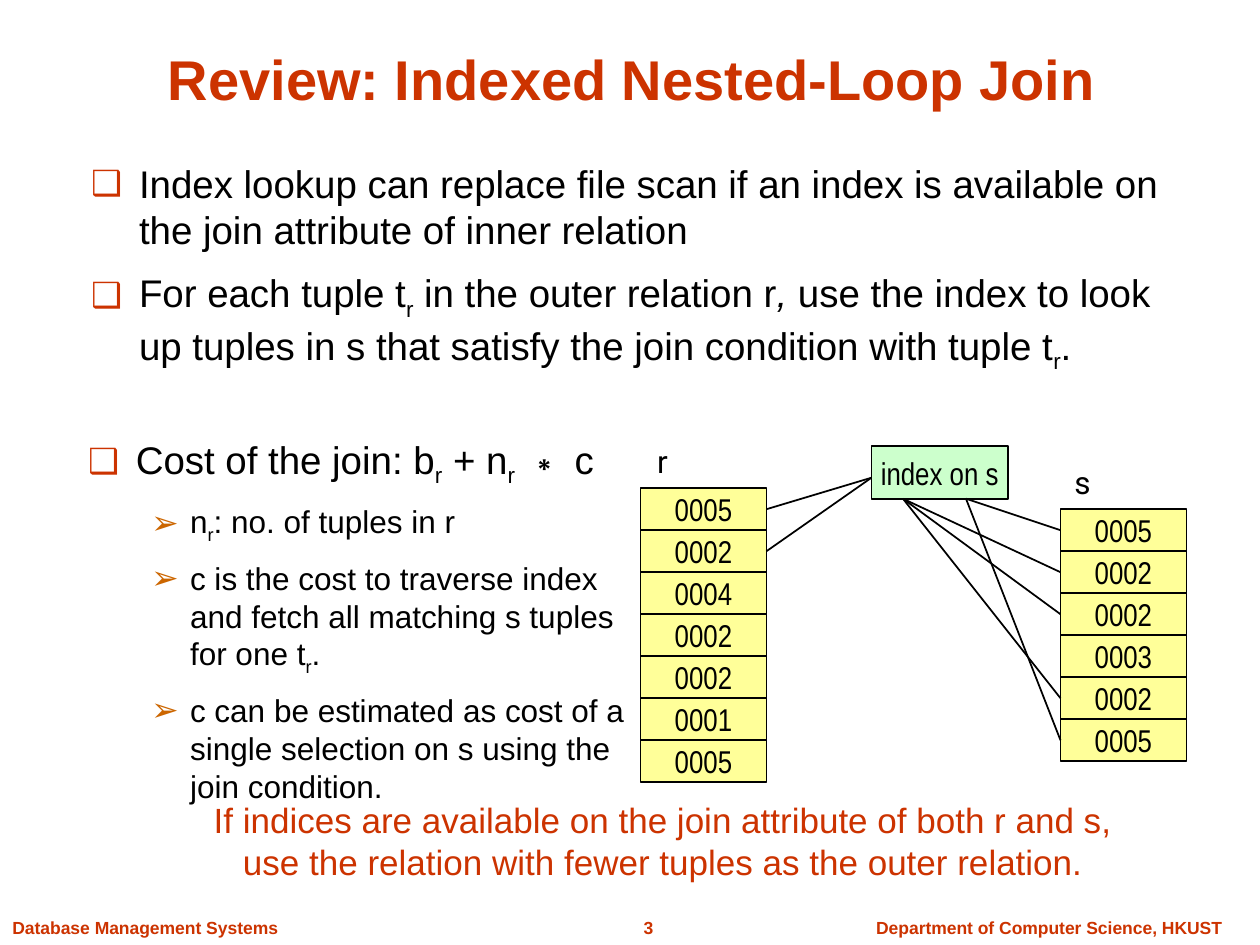
import lxml.etree
import pptx
import pptx.dml.color
import pptx.enum.shapes
import pptx.enum.text
import pptx.oxml.ns
import pptx.util

COLUMNS, ROWS = 240, 180
ALIGN = pptx.enum.text.PP_ALIGN
ANCHOR = pptx.enum.text.MSO_ANCHOR
RED, BLACK = "CC3300", "000000"


def color(value):
    return pptx.dml.color.RGBColor.from_string(value)


def add_element(parent, tag, **attributes):
    return lxml.etree.SubElement(parent, pptx.oxml.ns.qn(tag), attributes)


def set_bullet(para, char, tint, percent, left, hanging):
    properties = para._p.get_or_add_pPr()
    properties.set("marL", str(pptx.util.Inches(left)))
    properties.set("indent", str(-pptx.util.Inches(hanging)))
    add_element(add_element(properties, "a:buClr"), "a:srgbClr", val=tint)
    add_element(properties, "a:buSzPct", val=str(percent * 1000))
    add_element(properties, "a:buFont", typeface="Arial")
    add_element(properties, "a:buChar", char=char)


def write_text(para, text, size=18, font="Arial", tint=BLACK, bold=False,
               align=ALIGN.LEFT, before=0, bullet=None):
    para.alignment = align
    para.space_before = pptx.util.Pt(before)
    if bullet:
        set_bullet(para, **bullet)
    pieces = [(text, "")] if isinstance(text, str) else text
    for piece, kind in pieces:
        for index, line in enumerate(piece.split("\n")):
            if index:
                para.add_line_break()
            span = para.add_run()
            span.text = line
            span.font.size = pptx.util.Pt(size)
            span.font.name = font
            span.font.bold = bold
            span.font.color.rgb = color(tint)
            if kind == "italic":
                span.font.italic = True
            if kind == "sub":
                span.font._element.set("baseline", "-25000")


class Page:
    topic = dict(size=22, before=9.6,
                 bullet=dict(char="❑", tint=RED, percent=90, left=0.38, hanging=0.38))
    detail = dict(size=18, before=7.9,
                  bullet=dict(char="➢", tint="CC6600", percent=105, left=0.81, hanging=0.31))
    footer = dict(size=10, tint=RED, bold=True)
    cell_columns, cell_rows = 24, 8

    def __init__(self, deck):
        self.deck = deck
        self.slide = deck.slides.add_slide(deck.slide_layouts[5])

    def x(self, columns):
        return round(self.deck.slide_width * columns / COLUMNS)

    def y(self, rows):
        return round(self.deck.slide_height * rows / ROWS)

    def area(self, left, top, width, height):
        return self.x(left), self.y(top), self.x(width), self.y(height)

    def title(self, text, *place):
        box = self.slide.shapes.title
        box.left, box.top, box.width, box.height = self.area(*place)
        box.text_frame.auto_size = pptx.enum.text.MSO_AUTO_SIZE.NONE
        box.text_frame.vertical_anchor = ANCHOR.BOTTOM
        write_text(box.text_frame.paragraphs[0], text, size=32, tint=RED,
                   bold=True, align=ALIGN.CENTER)

    def text(self, text, *place, wrap=True, **style):
        self.paragraphs([(text, style)], *place, wrap=wrap)

    def paragraphs(self, items, *place, wrap=True):
        frame = self.slide.shapes.add_textbox(*self.area(*place)).text_frame
        frame.word_wrap = wrap
        for index, (text, style) in enumerate(items):
            para = frame.add_paragraph() if index else frame.paragraphs[0]
            write_text(para, text, **(style if index else {**style, "before": 0}))

    def box(self, text, fill, *place):
        shape = self.slide.shapes.add_shape(
            pptx.enum.shapes.MSO_SHAPE.RECTANGLE, *self.area(*place))
        shape.shadow.inherit = False
        shape.fill.solid()
        shape.fill.fore_color.rgb = color(fill)
        shape.line.color.rgb = color(BLACK)
        shape.line.width = pptx.util.Pt(1)
        shape.text_frame.word_wrap = False
        shape.text_frame.vertical_anchor = ANCHOR.MIDDLE
        write_text(shape.text_frame.paragraphs[0], text, font="Arial Narrow",
                   align=ALIGN.CENTER)

    def relation(self, values, left, top):
        for index, value in enumerate(values):
            self.box(value, "FFFF99", left, top + index * self.cell_rows,
                     self.cell_columns, self.cell_rows)

    def line(self, x1, y1, x2, y2):
        line = self.slide.shapes.add_connector(
            pptx.enum.shapes.MSO_CONNECTOR.STRAIGHT,
            self.x(x1), self.y(y1), self.x(x2), self.y(y2))
        line.line.color.rgb = color(BLACK)
        line.line.width = pptx.util.Pt(1)
        add_element(line._element.spPr, "a:effectLst")


def draw_join(page):
    outer_left, outer_top = 122, 93
    inner_left, inner_top = 202, 97
    index_left, index_top, index_width, index_height = 166, 85, 26, 10
    half = page.cell_rows / 2
    page.relation(["0005", "0002", "0004", "0002", "0002", "0001", "0005"],
                  outer_left, outer_top)
    page.relation(["0005", "0002", "0002", "0003", "0002", "0005"],
                  inner_left, inner_top)
    label = dict(font="Roboto", align=ALIGN.CENTER, wrap=False)
    page.text("r", 122.6, 83, 7.2, 9.6, **label)
    page.text("s", 202.3, 87.1, 7.7, 9.6, **label)
    page.box("index on s", "CCFFCC", index_left, index_top, index_width, index_height)
    for row in (0, 1):
        page.line(outer_left + page.cell_columns, outer_top + half + row * page.cell_rows,
                  index_left, index_top + 6)
    for start, matches in ((184, (0, 5)), (172, (1, 2, 4))):
        for row in matches:
            page.line(start, index_top + index_height,
                      inner_left, inner_top + half + row * page.cell_rows)


def main():
    deck = pptx.Presentation()
    deck.slide_width = pptx.util.Inches(10)
    deck.slide_height = pptx.util.Inches(7.5)
    page = Page(deck)
    page.text("Department of Computer Science, HKUST", 158.6, 173.5, 82.4, 6.5,
              align=ALIGN.CENTER, **page.footer)
    page.text("3", 113, 173.5, 21, 6.5, align=ALIGN.CENTER, **page.footer)
    page.text("Database Management Systems", 0, 173.5, 60, 6.5, **page.footer)
    page.title("Review: Indexed Nested-Loop Join", 14.4, 6.5, 212, 16)
    page.paragraphs([
        ("Index lookup can replace file scan if an index is available on "
         "the join attribute of inner relation", page.topic),
        ([("For each tuple t", ""), ("r", "sub"), (" in the outer relation r", ""),
          (",", "italic"),
          (" use the index to look up tuples in s that satisfy the join condition "
           "with tuple t", ""), ("r", "sub"), (".", "")], page.topic),
    ], 15, 29.3, 216.5, 53.5)
    draw_join(page)
    page.paragraphs([
        ([("Cost of the join: b", ""), ("r", "sub"), (" + n", ""), ("r", "sub"),
          (" ∗ c", "")], page.topic),
        ([("n", ""), ("r", "sub"), (": no. of tuples in r", "")], page.detail),
        ([("c is the cost to traverse index and fetch all matching s tuples for one t", ""),
          ("r", "sub"), (".", "")], page.detail),
        ("c can be estimated as cost of a single selection on s using the join condition.",
         page.detail),
    ], 14.4, 81.8, 109.2, 69.6)
    page.text("If indices are available on the join attribute of both r and s,\n"
              "use the relation with fewer tuples as the outer relation.",
              29, 151, 194.6, 18.5, size=20, tint=RED, align=ALIGN.CENTER)
    deck.save("out.pptx")


if __name__ == "__main__":
    main()
